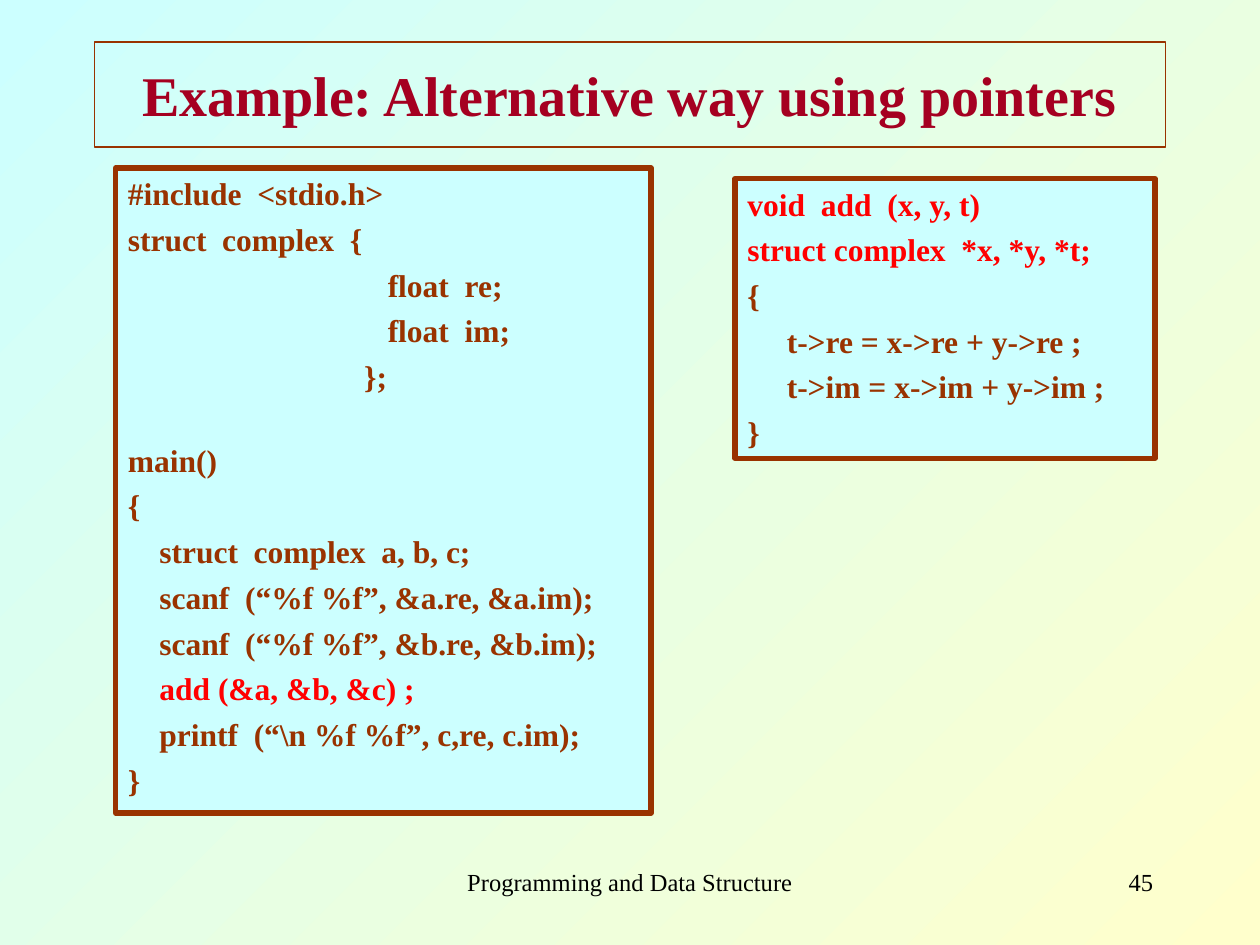
import pptx
import pptx.dml.color
import pptx.enum.shapes
import pptx.enum.text
import pptx.oxml.ns
import pptx.util
from lxml import etree

RGBColor = pptx.dml.color.RGBColor
PP_ALIGN = pptx.enum.text.PP_ALIGN
CYAN = RGBColor(0xCC, 0xFF, 0xFF)
YELLOW = RGBColor(0xFF, 0xFF, 0xCC)
BROWN = RGBColor(0x99, 0x33, 0x00)
CRIMSON = RGBColor(0xA5, 0x00, 0x21)
RED = RGBColor(0xFF, 0x00, 0x00)
BLACK = RGBColor(0x00, 0x00, 0x00)

FONT = "Times New Roman"
CELL = pptx.util.Inches(1) / 12
SPACE_WIDTH = pptx.util.Pt(4.5)
LINE_GAP = 25
SECTION_GAP = 146

MAIN_PROGRAM = [
    (0, "#include  <stdio.h>", BROWN, LINE_GAP),
    (0, "struct  complex  {", BROWN, LINE_GAP),
    (33, "float  re;", BROWN, LINE_GAP),
    (33, "float  im;", BROWN, LINE_GAP),
    (30, "};", BROWN, LINE_GAP),
    (0, "main()", BROWN, SECTION_GAP),
    (0, "{", BROWN, LINE_GAP),
    (4, "struct  complex  a, b, c;", BROWN, LINE_GAP),
    (4, "scanf  (“%f %f”, &a.re, &a.im);", BROWN, LINE_GAP),
    (4, "scanf  (“%f %f”, &b.re, &b.im);", BROWN, LINE_GAP),
    (4, "add (&a, &b, &c) ;", RED, LINE_GAP),
    (4, "printf  (“\\n %f %f”, c,re, c.im);", BROWN, LINE_GAP),
    (0, "}", BROWN, LINE_GAP),
]
ADD_FUNCTION = [
    (0, "void  add  (x, y, t)", RED, LINE_GAP),
    (0, "struct complex  *x, *y, *t;", RED, LINE_GAP),
    (0, "{", BROWN, LINE_GAP),
    (5, "t->re = x->re + y->re ;", BROWN, LINE_GAP),
    (5, "t->im = x->im + y->im ;", BROWN, LINE_GAP),
    (0, "}", BROWN, LINE_GAP),
]


def grid(*cells):
    """Turn columns and rows of a twelfth of an inch into lengths."""
    return [pptx.util.Emu(round(cell * CELL)) for cell in cells]


def write(paragraph, text, size, color, bold=False, align=PP_ALIGN.LEFT):
    """Set the text of a paragraph and format its runs."""
    paragraph.text = text
    paragraph.alignment = align
    for run in paragraph.runs:
        run.font.name = FONT
        run.font.size = pptx.util.Pt(size)
        run.font.bold = bold
        run.font.color.rgb = color


def set_spacing(paragraph, indent, gap):
    """Indent a paragraph by space widths and set the gap above in percent."""
    qn = pptx.oxml.ns.qn
    properties = paragraph._p.get_or_add_pPr()
    properties.set("marL", str(indent * SPACE_WIDTH))
    properties.set("indent", "0")
    before = etree.SubElement(properties, qn("a:spcBef"))
    etree.SubElement(before, qn("a:spcPct")).set("val", str(gap * 1000))


def paint_background(slide):
    """Fill the slide with a diagonal gradient."""
    fill = slide.background.fill
    fill.gradient()
    fill.gradient_angle = 315
    for stop, position, color in zip(fill.gradient_stops, (0, 1), (CYAN, YELLOW)):
        stop.position = position
        stop.color.rgb = color


def add_title(slide, text, cells):
    """Place the framed title."""
    title = slide.shapes.title
    title.left, title.top, title.width, title.height = grid(*cells)
    title.line.color.rgb = BROWN
    title.line.width = pptx.util.Pt(0.75)
    frame = title.text_frame
    frame.auto_size = pptx.enum.text.MSO_AUTO_SIZE.NONE
    frame.vertical_anchor = pptx.enum.text.MSO_ANCHOR.MIDDLE
    write(frame.paragraphs[0], text, 32, CRIMSON, True, PP_ALIGN.CENTER)


def add_code(slide, listing, cells):
    """Add a framed box with one paragraph for each line of code."""
    box = slide.shapes.add_shape(
        pptx.enum.shapes.MSO_SHAPE.RECTANGLE, *grid(*cells))
    box.shadow.inherit = False
    box.fill.solid()
    box.fill.fore_color.rgb = CYAN
    box.line.color.rgb = BROWN
    box.line.width = pptx.util.Pt(3)
    frame = box.text_frame
    frame.word_wrap = True
    frame.vertical_anchor = pptx.enum.text.MSO_ANCHOR.TOP
    frame.auto_size = pptx.enum.text.MSO_AUTO_SIZE.SHAPE_TO_FIT_TEXT
    for number, (indent, code, color, gap) in enumerate(listing):
        line = frame.add_paragraph() if number else frame.paragraphs[0]
        write(line, code, 18, color, True)
        set_spacing(line, indent, gap)


def add_footer(slide, text, cells, align):
    """Add a small text at the foot of the slide."""
    frame = slide.shapes.add_textbox(*grid(*cells)).text_frame
    frame.word_wrap = True
    write(frame.paragraphs[0], text, 14, BLACK, align=align)


def main():
    """Build the slide and save it."""
    deck = pptx.Presentation()
    deck.slide_width, deck.slide_height = grid(120, 90)
    slide = deck.slides.add_slide(deck.slide_layouts[5])
    paint_background(slide)
    add_footer(slide, "Programming and Data Structure", (41, 82, 38, 6), PP_ALIGN.CENTER)
    add_footer(slide, "45", (86, 82, 25, 6), PP_ALIGN.RIGHT)
    add_title(slide, "Example: Alternative way using pointers", (9, 4, 102, 10))
    add_code(slide, MAIN_PROGRAM, (11, 16, 51, 61.44))
    add_code(slide, ADD_FUNCTION, (70, 17, 40, 26.64))
    deck.save("out.pptx")


if __name__ == "__main__":
    main()
